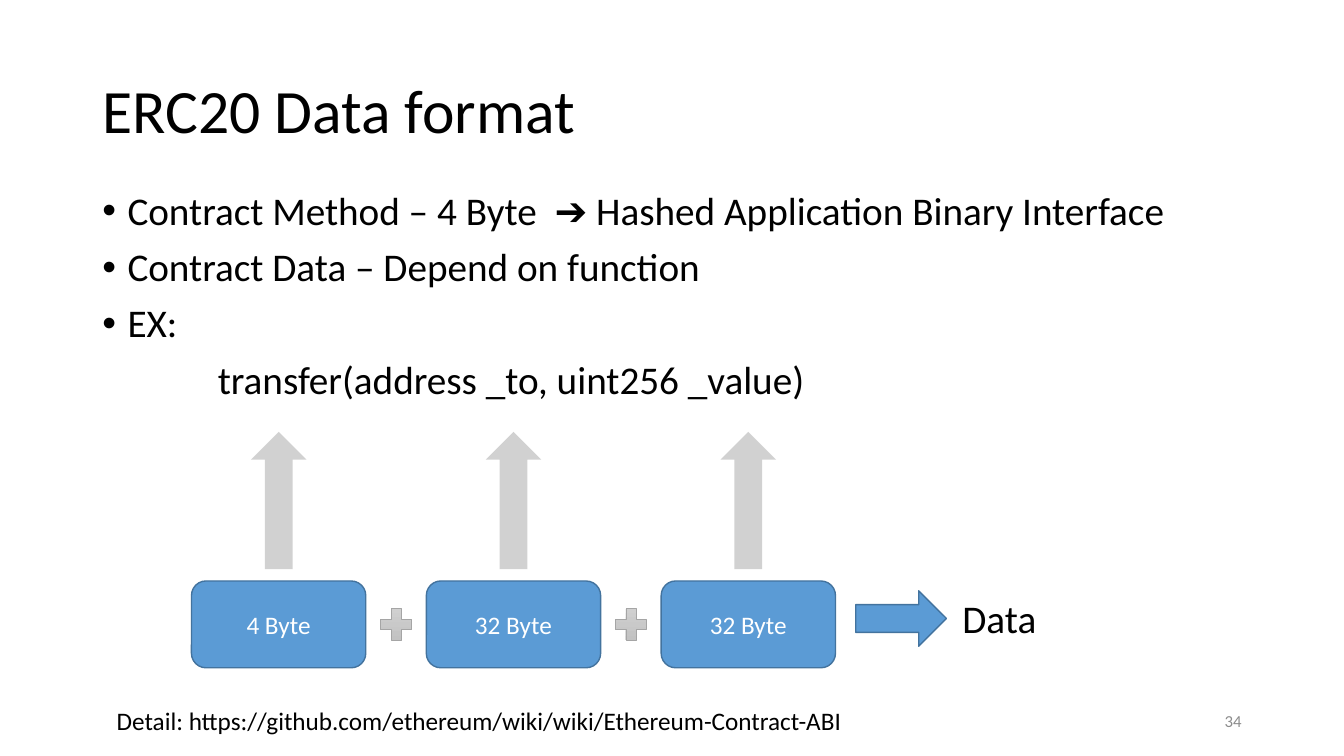
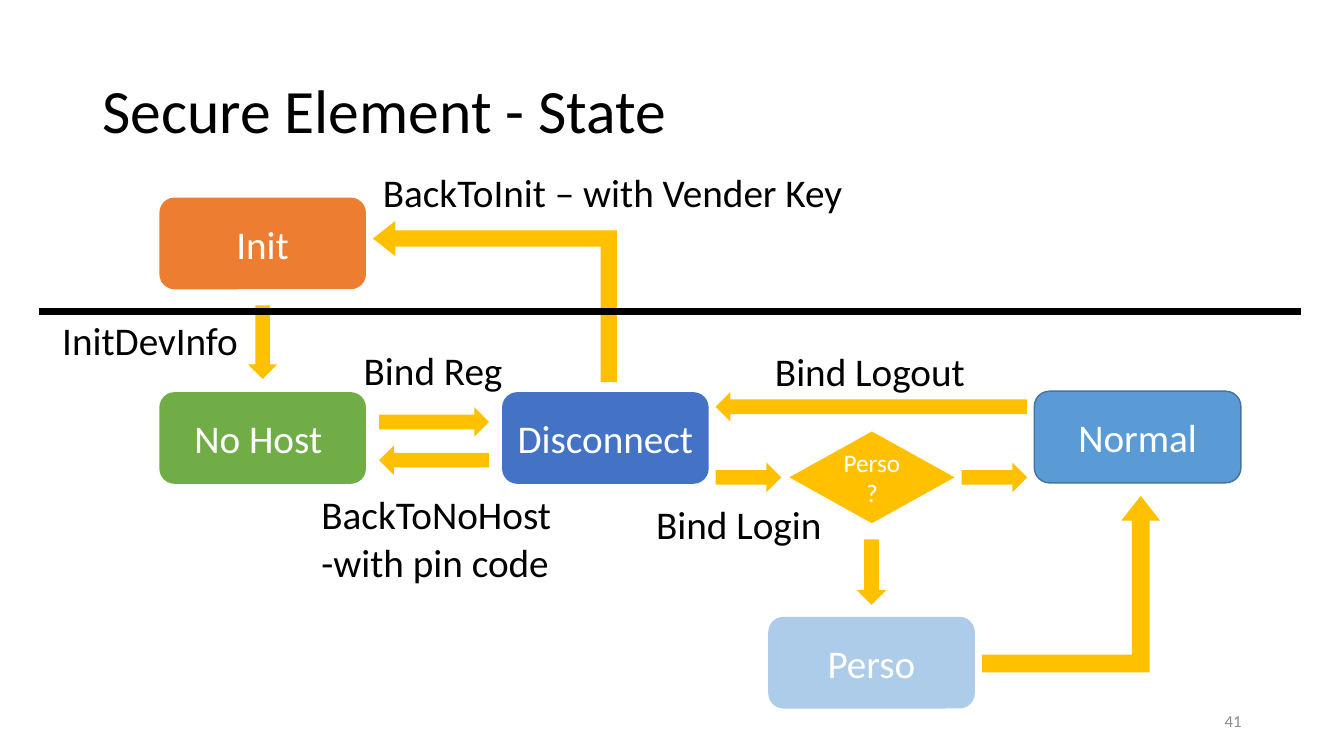
from collections import namedtuple

from lxml import etree
from pptx import Presentation
from pptx import util as u
from pptx.dml.color import RGBColor
from pptx.enum import shapes, text
from pptx.oxml import ns

Pt = u.Pt
Shape = shapes.MSO_SHAPE
Align = text.PP_ALIGN
Anchor = text.MSO_ANCHOR
Box = namedtuple("Box", "left top width height")

# Shared style
FONT = "Calibri"
BLACK = RGBColor(0x00, 0x00, 0x00)
WHITE = RGBColor(0xFF, 0xFF, 0xFF)
GRAY = RGBColor(0xA5, 0xA5, 0xA5)
NUMBER_GRAY = RGBColor(0x8C, 0x8C, 0x8C)
PLUS_LIGHT = RGBColor(0xD2, 0xD2, 0xD2)
PLUS_DARK = RGBColor(0xC0, 0xC0, 0xC0)
BLUE = RGBColor(0x5B, 0x9B, 0xD5)
BLUE_EDGE = RGBColor(0x43, 0x73, 0x9E)
DEEP_BLUE = RGBColor(0x44, 0x72, 0xC4)
ORANGE = RGBColor(0xED, 0x7D, 0x31)
GREEN = RGBColor(0x70, 0xAD, 0x47)
GOLD = RGBColor(0xFF, 0xC0, 0x00)

TITLE_BOX = Box(66, 28.8, 828, 104.4)
NUMBER_BOX = Box(678, 500.5, 216, 28.75)
BODY_BOX = Box(66, 133.2, 838.8, 294)


def points(box):
    return [Pt(value) for value in box]


def add_run(paragraph, words, size, color):
    run = paragraph.add_run()
    run.text = words
    run.font.name = FONT
    run.font.size = Pt(size)
    run.font.color.rgb = color


def write_lines(frame, lines, size, color, align=Align.LEFT):
    """Write each line as a paragraph and return the paragraphs."""
    for index, words in enumerate(lines):
        paragraph = frame.paragraphs[0] if index == 0 else frame.add_paragraph()
        paragraph.alignment = align
        add_run(paragraph, words, size, color)
    return frame.paragraphs


def add_text(slide, box, lines, size, color=BLACK, align=Align.LEFT,
             anchor=Anchor.TOP, wrap=True):
    frame = slide.shapes.add_textbox(*points(box)).text_frame
    frame.word_wrap = wrap
    frame.vertical_anchor = anchor
    return write_lines(frame, lines, size, color, align)


def add_figure(slide, kind, box, fill, edge=None, label="", size=28, opacity=100):
    shape = slide.shapes.add_shape(kind, *points(box))
    shape.shadow.inherit = False
    shape.fill.solid()
    shape.fill.fore_color.rgb = fill
    if opacity < 100:
        color = shape.fill._xPr.find(".//" + ns.qn("a:srgbClr"))
        etree.SubElement(color, ns.qn("a:alpha"), val=str(opacity * 1000))
    if edge is None:
        shape.line.fill.background()
    else:
        shape.line.color.rgb = edge
        shape.line.width = Pt(1)
    if label:
        shape.text_frame.word_wrap = True
        shape.text_frame.vertical_anchor = Anchor.MIDDLE
        write_lines(shape.text_frame, [label], size, WHITE, Align.CENTER)
    return shape


def add_base_slide(presentation, title, number):
    """Blank slide with the shared title and slide number."""
    slide = presentation.slides.add_slide(presentation.slide_layouts[6])
    heading = add_text(slide, TITLE_BOX, [title], 44, anchor=Anchor.MIDDLE)[0]
    heading.line_spacing = 0.9
    add_text(slide, NUMBER_BOX, [str(number)], 12, NUMBER_GRAY, Align.RIGHT,
             Anchor.MIDDLE)
    return slide


# Data format slide
def add_body(slide, box, bullets, example):
    paragraphs = add_text(slide, box, bullets + [example], 28)
    for index, paragraph in enumerate(paragraphs):
        paragraph.line_spacing = 0.9
        if index:
            paragraph.space_before = Pt(10)
        properties = paragraph._p.get_or_add_pPr()
        if index < len(bullets):
            properties.set("marL", str(Pt(18)))
            properties.set("indent", str(-Pt(18)))
            etree.SubElement(properties, ns.qn("a:buFont"), typeface="Arial")
            etree.SubElement(properties, ns.qn("a:buChar"), char="•")
        else:
            properties.set("marL", str(Pt(82.5)))
            properties.set("indent", "0")


def add_plus(slide, box):
    plus = add_figure(slide, Shape.MATH_PLUS, box, PLUS_LIGHT, GRAY)
    plus.line.width = Pt(0.5)
    plus.fill.gradient()
    plus.fill.gradient_angle = 270
    for stop, color in zip(plus.fill.gradient_stops, (PLUS_LIGHT, PLUS_DARK)):
        stop.color.rgb = color


def add_byte_chain(slide, box, labels):
    """Byte fields joined by plus signs, each pointing up to its source."""
    field_width, field_height, gap = 124.5, 62, 43.25
    arrow_width, arrow_height, plus_size = 39.6, 98, 30.25
    field_top = box.top + box.height - field_height
    middle = field_top + field_height / 2
    for index, label in enumerate(labels):
        left = box.left + index * (field_width + gap)
        add_figure(slide, Shape.UP_ARROW,
                   Box(left + (field_width - arrow_width) / 2, box.top,
                       arrow_width, arrow_height), GRAY, opacity=50)
        add_figure(slide, Shape.ROUNDED_RECTANGLE,
                   Box(left, field_top, field_width, field_height),
                   BLUE, BLUE_EDGE, label, 18)
        if index:
            add_plus(slide, Box(left - (gap + plus_size) / 2,
                                middle - plus_size / 2, plus_size, plus_size))
    # Result at the right end
    right = box.left + box.width
    add_figure(slide, Shape.RIGHT_ARROW, Box(right + 14.5, middle - 24, 64.8, 39.6),
               BLUE, BLUE_EDGE)
    add_text(slide, Box(right + 83.6, middle - 25.3, 67.7, 41), ["Data"], 28,
             wrap=False)


def build_data_format(presentation):
    slide = add_base_slide(presentation, "ERC20 Data format", 34)
    add_body(slide, BODY_BOX,
             ["Contract Method – 4 Byte  ➔ Hashed Application Binary Interface",
              "Contract Data – Depend on function", "EX:"],
             "transfer(address _to, uint256 _value)")
    add_byte_chain(slide, Box(136.8, 308.5, 460, 168.5),
                   ["4 Byte", "32 Byte", "32 Byte"])
    add_text(slide, Box(76.3, 500.5, 581, 29),
             ["Detail: https://github.com/ethereum/wiki/wiki/Ethereum-Contract-ABI"],
             18)


# Secure element slide
STATE_WIDTH, STATE_HEIGHT = 147.6, 65.5
ARROW_BREADTH = 21

# left, top, label, fill, edge, opacity
STATES = [
    (0, 0, "Init", ORANGE, None, 100),
    (0, 139, "No Host ", GREEN, None, 100),
    (244.8, 139, "Disconnect", DEEP_BLUE, None, 100),
    (625, 138.3, "Normal", BLUE, BLUE_EDGE, 100),
    (434.9, 299.5, "Perso", BLUE, None, 50),
]
# kind, left, top, length
ARROWS = [
    (Shape.RIGHT_ARROW, 157, 149.8, 78.5),
    (Shape.LEFT_ARROW, 157, 177.1, 78.5),
    (Shape.RIGHT_ARROW, 397.4, 189.4, 46.8),
    (Shape.RIGHT_ARROW, 573.1, 189.4, 46.8),
    (Shape.LEFT_ARROW, 397.4, 139, 222.5),
    (Shape.DOWN_ARROW, 63.3, 77.1, 52.6),
    (Shape.DOWN_ARROW, 498.2, 244.1, 46.8),
]
# box before rotation, rotation
BENT_ARROWS = [
    (Box(182.1, -12.9, 115.2, 174.2), 270),
    (Box(587.5, 213.1, 127.4, 126), 0),
]
# left, top, width, lines
LABELS = [
    (138.9, 103, 114.5, ["Bind Reg"]),
    (108.7, 205.9, 180.7, ["BackToNoHost", "-with pin code"]),
    (347.7, 213.1, 134, ["Bind Login"]),
    (152.6, -24.5, 360.7, ["BackToInit – with Vender Key"]),
    (432.7, 103.7, 152, ["Bind Logout"]),
    (-76.4, 81.4, 141, ["InitDevInfo"]),
]


def add_divider(slide, left, right, top):
    line = slide.shapes.add_connector(shapes.MSO_CONNECTOR.STRAIGHT,
                                      Pt(left), Pt(top), Pt(right), Pt(top))
    line.line.color.rgb = BLACK
    line.line.width = Pt(4.5)
    etree.SubElement(line._element.spPr, ns.qn("a:effectLst"))


def add_state_diagram(slide, origin_left, origin_top):
    """State machine measured from the corner of the first state."""
    def place(left, top, width, height):
        return Box(origin_left + left, origin_top + top, width, height)

    for left, top, label, fill, edge, opacity in STATES:
        add_figure(slide, Shape.ROUNDED_RECTANGLE,
                   place(left, top, STATE_WIDTH, STATE_HEIGHT),
                   fill, edge, label, opacity=opacity)
    add_figure(slide, Shape.FLOWCHART_DECISION, place(450, 167.1, 118, STATE_HEIGHT),
               GOLD, label="Perso?", size=18)

    # Transitions
    for kind, left, top, length in ARROWS:
        size = (length, ARROW_BREADTH)
        if kind == Shape.DOWN_ARROW:
            size = size[::-1]
        add_figure(slide, kind, place(left, top, *size), GOLD)
    for box, rotation in BENT_ARROWS:
        arrow = add_figure(slide, Shape.BENT_UP_ARROW, place(*box), GOLD)
        arrow.rotation = rotation
        for index, value in enumerate((0.1, 0.11, 0.14)):
            arrow.adjustments[index] = value

    # Transition names
    for left, top, width, lines in LABELS:
        add_text(slide, place(left, top, width, 7.2 + 33.8 * len(lines)), lines, 28,
                 wrap=False)
    add_divider(slide, origin_left - 85.7, origin_left + 815.7, origin_top + 81.4)


def build_secure_element(presentation):
    slide = add_base_slide(presentation, "Secure Element - State", 41)
    add_state_diagram(slide, 113.8, 141.1)


def main():
    presentation = Presentation()
    presentation.slide_width = Pt(960)
    presentation.slide_height = Pt(540)
    build_data_format(presentation)
    build_secure_element(presentation)
    presentation.save("out.pptx")


if __name__ == "__main__":
    main()
